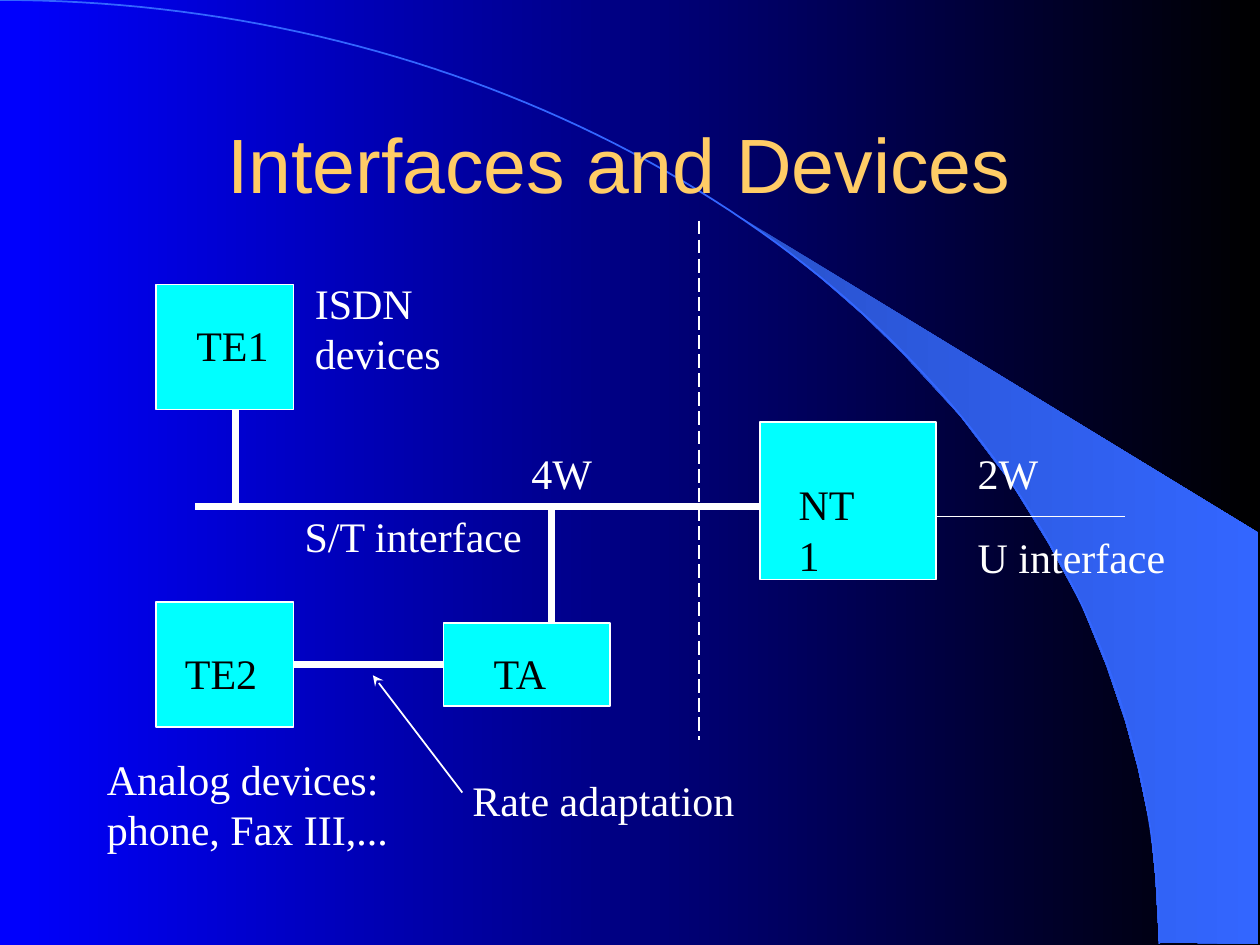
import math

import pptx
import pptx.dml.color
import pptx.enum.dml
import pptx.enum.shapes
import pptx.enum.text
import pptx.util
from lxml import etree
from pptx.oxml.ns import qn

Pt = pptx.util.Pt
RGBColor = pptx.dml.color.RGBColor
MSO_SHAPE = pptx.enum.shapes.MSO_SHAPE
MSO_CONNECTOR = pptx.enum.shapes.MSO_CONNECTOR
MSO_ANCHOR = pptx.enum.text.MSO_ANCHOR
PP_ALIGN = pptx.enum.text.PP_ALIGN
DASH = pptx.enum.dml.MSO_LINE

BLUE = RGBColor(0x00, 0x00, 0xFF)
BLACK = RGBColor(0x00, 0x00, 0x00)
WHITE = RGBColor(0xFF, 0xFF, 0xFF)
CYAN = RGBColor(0x00, 0xFF, 0xFF)
GOLD = RGBColor(0xFF, 0xCC, 0x66)
ARC_BLUE = RGBColor(0x33, 0x66, 0xFF)
DEEP_BLUE = RGBColor(0x29, 0x52, 0xCC)

# Outline of the crescent, as offsets in points from its top left corner
CRESCENT = [
    (238.3, 414), (295.2, 414.7), (295.2, 180), (0, 0), (25.2, 18.7),
    (46.1, 35.3), (69.1, 55.4), (91.4, 77), (124.6, 113), (154.1, 151.9),
    (175, 185.8), (193.7, 220.3), (208.1, 255.6), (218.9, 287.3),
    (226.1, 313.9), (233.3, 347.8), (236.2, 376.6),
]


def set_gradient(fill, start, end):
    fill.gradient()
    fill.gradient_angle = 0
    for stop, color in zip(fill.gradient_stops, (start, end)):
        stop.color.rgb = color


def write_text(frame, text, font="Times New Roman", size=24, color=WHITE,
               align=PP_ALIGN.LEFT, anchor=MSO_ANCHOR.TOP, wrap=False):
    frame.word_wrap = wrap
    frame.vertical_anchor = anchor
    frame.text = text
    for paragraph in frame.paragraphs:
        paragraph.alignment = align
        paragraph.font.name = font
        paragraph.font.size = Pt(size)
        paragraph.font.color.rgb = color


def add_label(slide, left, top, width, text, height=36, **text_format):
    label = slide.shapes.add_textbox(Pt(left), Pt(top), Pt(width), Pt(height))
    write_text(label.text_frame, text, **text_format)


def add_outline(slide, points, close):
    points = [(Pt(x), Pt(y)) for x, y in points]
    builder = slide.shapes.build_freeform(*points[0], scale=1.0)
    builder.add_line_segments(points[1:], close=close)
    shape = builder.convert_to_shape()
    shape.shadow.inherit = False
    return shape


def add_line(slide, start, end, width=1):
    line = slide.shapes.add_connector(
        MSO_CONNECTOR.STRAIGHT, *(Pt(value) for value in (*start, *end)))
    line.line.color.rgb = WHITE
    line.line.width = Pt(width)
    etree.SubElement(line.element.spPr, qn("a:effectLst"))
    return line


def add_device(slide, box, name, label_offset, label_width):
    left, top, width, height = box
    device = slide.shapes.add_shape(
        MSO_SHAPE.RECTANGLE, Pt(left), Pt(top), Pt(width), Pt(height))
    device.shadow.inherit = False
    device.fill.solid()
    device.fill.fore_color.rgb = CYAN
    device.line.color.rgb = WHITE
    device.line.width = Pt(1)
    add_label(slide, left + label_offset[0], top + label_offset[1],
              label_width, name, color=BLACK)
    return device


def draw_backdrop(slide, left, top, width, height):
    set_gradient(slide.background.fill, BLUE, BLACK)

    # Crescent at the right edge
    crescent = add_outline(
        slide, [(left + 424.1 + x, top + 124.6 + y) for x, y in CRESCENT], True)
    set_gradient(crescent.fill, DEEP_BLUE, ARC_BLUE)
    crescent.line.fill.background()

    # Quarter ellipse from the top left corner to the bottom edge
    steps = 90
    angles = [math.pi / 2 * step / steps for step in range(steps + 1)]
    arc = add_outline(
        slide, [(left + width * 0.92 * math.sin(angle),
                 top + height * (1 - math.cos(angle))) for angle in angles], False)
    arc.fill.background()
    arc.line.color.rgb = ARC_BLUE
    arc.line.width = Pt(1)


def draw_title(slide, left, top, width, height):
    title = slide.shapes.title
    title.left, title.top = Pt(left), Pt(top)
    title.width, title.height = Pt(width), Pt(height)
    write_text(title.text_frame, "Interfaces and Devices ", font="Arial", size=44,
               color=GOLD, align=PP_ALIGN.CENTER, anchor=MSO_ANCHOR.MIDDLE, wrap=True)
    # Bring the title in front of the backdrop
    title.element.getparent().append(title.element)


def draw_customer_side(slide, left, top, width, height):
    bottom = top + height
    bus_y = top + 134.5

    # Terminals and adapter
    te1 = (left + 35.3, top + 7.8, 78.5, 71.5)
    te2 = (left + 35.3, top + 189.3, 78.5, 71.5)
    adapter = (left + 199.4, top + 201.3, 95.3, 47.5)
    add_device(slide, te1, "TE1", (15.8, 16.6), 56)
    te2_shape = add_device(slide, te2, "TE2", (9.3, 22.3), 56)
    adapter_shape = add_device(slide, adapter, "TA", (21.6, 10.1), 47)

    # S/T bus and its branches
    add_line(slide, (left + 57.6, bus_y), (left + width, bus_y), 4)
    add_line(slide, (left + 80.6, te1[1] + te1[3]), (left + 80.6, bus_y), 4)
    add_line(slide, (left + 261.4, bus_y), (left + 261.4, adapter[1]), 4)
    link_y = adapter[1] + adapter[3] / 2
    link = add_line(slide, (te2[0] + te2[2], link_y), (adapter[0], link_y), 4)
    link.begin_connect(te2_shape, 3)
    link.end_connect(adapter_shape, 1)

    # Labels
    add_label(slide, left + 118.8, top, 148, "ISDN devices")
    add_label(slide, left + 242.6, top + 97.2, 49, "4W")
    add_label(slide, left + 113, top + 133.2, 139, "S/T interface")
    add_label(slide, left, bottom - 64.8, 175,
              "Analog devices:\nphone, Fax III,...", height=64.8)
    add_label(slide, left + 208.8, bottom - 52.6, 165, "Rate adaptation")

    # Arrow from the rate adaptation label to the link
    pointer = add_line(slide, (left + 159.1, top + 231.1), (left + 210.2, top + 298.1))
    etree.SubElement(pointer.line._get_or_add_ln(), qn("a:headEnd"), type="stealth")


def draw_network_side(slide, left, top, width, height):
    nt1 = (left, top, 100.8, height)
    add_device(slide, nt1, "NT1", (15.1, 28.8), 58)
    line_y = top + 54
    add_line(slide, (left + nt1[2], line_y), (left + width - 30.3, line_y))
    add_label(slide, left + 117.4, top + 10.8, 49, "2W")
    add_label(slide, left + 117.4, top + 59, 122, "U interface")


def draw_boundary(slide, left, top, height):
    boundary = add_line(slide, (left, top), (left, top + height))
    boundary.line.dash_style = DASH.LONG_DASH


def main():
    presentation = pptx.Presentation()
    presentation.slide_width, presentation.slide_height = Pt(720), Pt(540)
    slide = presentation.slides.add_slide(presentation.slide_layouts[5])
    draw_backdrop(slide, 0, 0, 720, 539.3)
    draw_title(slide, 54, 48.2, 612, 90)
    draw_customer_side(slide, 54, 154.8, 380.2, 337)
    draw_network_side(slide, 434.2, 241.2, 239.1, 90)
    draw_boundary(slide, 399.6, 126, 296.6)
    presentation.save("out.pptx")


if __name__ == "__main__":
    main()
